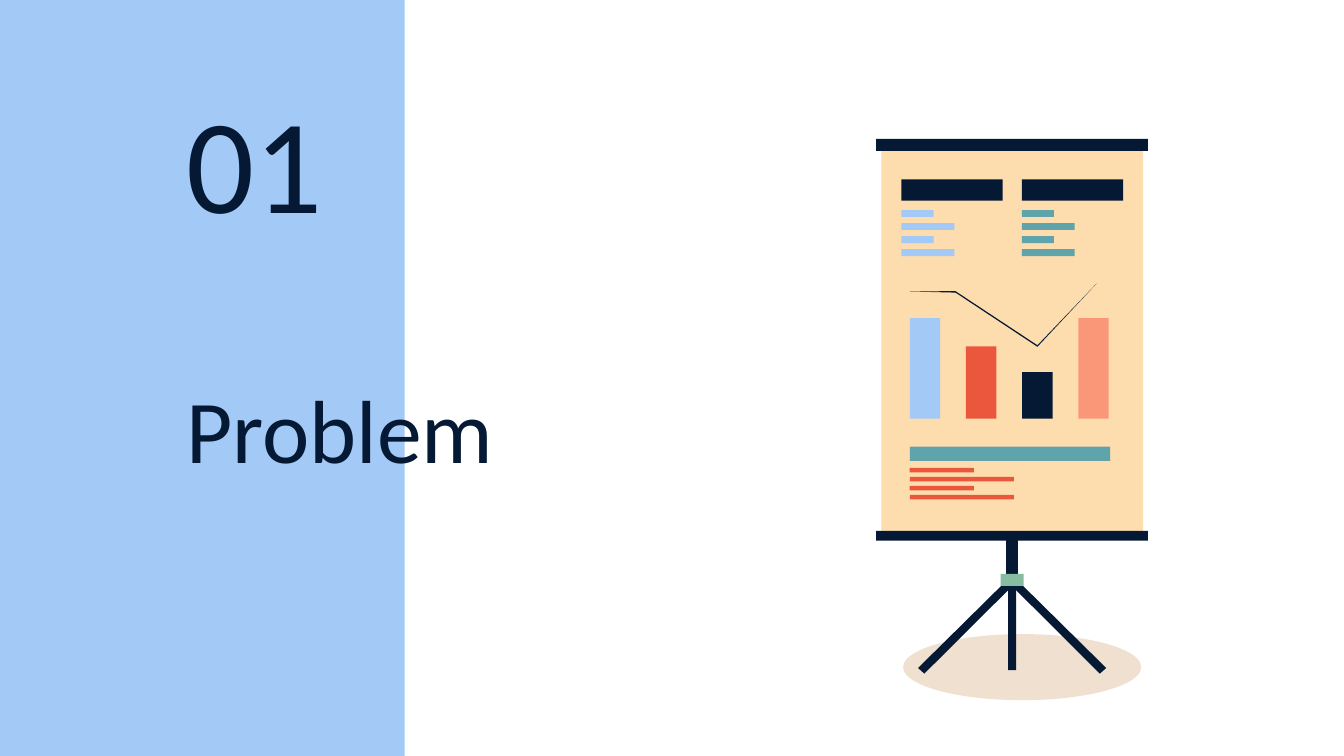
import pptx
import pptx.dml.color
import pptx.enum.shapes
import pptx.enum.text
import pptx.oxml.ns
import pptx.util
from lxml import etree

NAVY = "051934"
BLUE = "A3CAF7"
TEAL = "5FA4AB"
RED = "EB573D"
CORAL = "FA9778"
PAPER = "FDDCAE"
MINT = "85BCA2"
SHADE = "B45F06"

Pt = pptx.util.Pt
Shape = pptx.enum.shapes.MSO_SHAPE
Anchor = pptx.enum.text.MSO_ANCHOR


def rgb(hex_code):
    return pptx.dml.color.RGBColor.from_string(hex_code)


class Canvas:
    """Holds the text style and the slide being drawn; lengths are in points."""

    def __init__(self, slide, font, ink):
        self.slide = slide
        self.font = font
        self.ink = ink

    def paint(self, shape, color, opacity=None):
        shape.shadow.inherit = False
        shape.fill.solid()
        shape.fill.fore_color.rgb = rgb(color)
        shape.line.fill.background()
        if opacity is not None:
            srgb = shape.fill._xPr.find(".//" + pptx.oxml.ns.qn("a:srgbClr"))
            alpha = etree.SubElement(srgb, pptx.oxml.ns.qn("a:alpha"))
            alpha.set("val", str(opacity * 1000))

    def block(self, left, top, width, height, color, kind=Shape.RECTANGLE, opacity=None):
        shape = self.slide.shapes.add_shape(
            kind, Pt(left), Pt(top), Pt(width), Pt(height))
        self.paint(shape, color, opacity)

    def polygon(self, points, color):
        corners = [(Pt(x), Pt(y)) for x, y in points]
        builder = self.slide.shapes.build_freeform(*corners[0])
        builder.add_line_segments(corners[1:], close=True)
        self.paint(builder.convert_to_shape(), color)

    def stripes(self, left, top, step, height, widths, color):
        """Draw a stack of evenly spaced bars, as stand-ins for lines of text."""
        for row, width in enumerate(widths):
            self.block(left, top + row * step, width, height, color)

    def text(self, left, top, width, height, words, size, anchor, spacing=1.0):
        frame = self.slide.shapes.add_textbox(
            Pt(left), Pt(top), Pt(width), Pt(height)).text_frame
        frame.word_wrap = True
        frame.vertical_anchor = anchor
        frame.margin_left = frame.margin_right = Pt(7.2)
        frame.margin_top = frame.margin_bottom = Pt(7.2)
        paragraph = frame.paragraphs[0]
        paragraph.text = words
        paragraph.line_spacing = spacing
        paragraph.font.name = self.font
        paragraph.font.size = Pt(size)
        paragraph.font.color.rgb = rgb(self.ink)


def draw_tripod(canvas):
    center = 542.2
    left_leg = [(540.7, 309.6), (491.8, 357.9), (495.2, 360.9), (543.7, 312.6)]
    right_leg = [(2 * center - x, y) for x, y in left_leg]
    canvas.polygon(left_leg, NAVY)
    canvas.polygon(right_leg, NAVY)
    for top, width, height, color in (
        (303.8, 4.4, 55.2, NAVY),
        (284.4, 6.4, 29.4, NAVY),
        (307.4, 12.4, 6.5, MINT),
    ):
        canvas.block(center - width / 2, top, width, height, color)


def draw_board(canvas):
    canvas.block(472.2, 80.7, 140.2, 203.7, PAPER)
    for rail_top, rail_height in ((284.4, 5.3), (74.4, 6.5)):
        canvas.block(469.4, rail_top, 145.6, rail_height, NAVY)

    for column_left, color in ((482.9, BLUE), (547.4, TEAL)):
        canvas.block(column_left, 96.1, 54.3, 11.5, NAVY)
        canvas.stripes(column_left, 112.5, 7, 3.7, [17.3, 28.4] * 2, color)

    chart_left = 487.4
    canvas.block(chart_left, 239.3, 107.3, 7.7, TEAL)
    canvas.stripes(chart_left, 250.7, 4.8, 2.4, [34.4, 55.8] * 2, RED)

    baseline = 224.3
    bars = ((53.8, BLUE), (38.8, RED), (24.9, NAVY), (53.8, CORAL))
    for position, (height, color) in enumerate(bars):
        canvas.block(chart_left + position * 30.1, baseline - height, 16.3, height, color)

    trend = [(587.5, 151.9), (555.8, 185), (511.9, 156), (chart_left, 156.2),
             (511.9, 156.8), (555.8, 185.8)]
    canvas.polygon(trend, NAVY)


def main():
    deck = pptx.Presentation()
    deck.slide_width, deck.slide_height = Pt(720), Pt(405)
    canvas = Canvas(deck.slides.add_slide(deck.slide_layouts[6]), "Calibri", NAVY)

    canvas.block(0, 0, 216.8, 405, BLUE)
    canvas.block(483.8, 339.7, 127.6, 35.4, SHADE, Shape.OVAL, opacity=19)
    canvas.text(92.9, 201.6, 305.3, 66.2, "Problem", 48, Anchor.MIDDLE, spacing=0.8)
    canvas.text(92.9, 74.2, 198, 61.9, "01", 72, Anchor.BOTTOM)
    draw_tripod(canvas)
    draw_board(canvas)

    deck.save("out.pptx")


if __name__ == "__main__":
    main()
